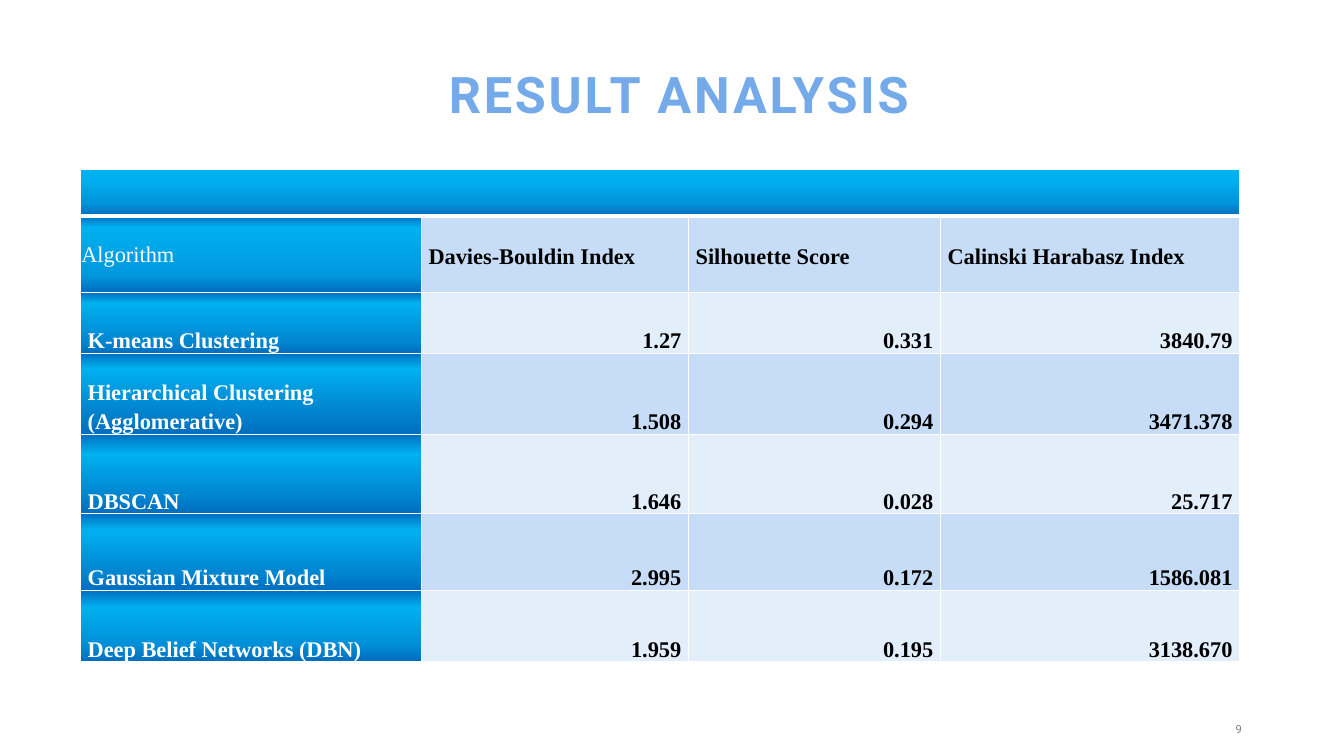
"""Build the result analysis slide with its table of clustering scores."""
from lxml.etree import SubElement as Sub
from pptx import Presentation
from pptx.dml.color import RGBColor
from pptx.enum.text import MSO_ANCHOR as Anchor, PP_ALIGN as Align
from pptx.oxml.ns import qn
from pptx.util import Cm, Pt


def style(para, size, face, color, bold=False, space=0):
    for run in para.runs:
        font = run.font
        font.size, font.name, font.bold = Pt(size), face, bold
        font.color.rgb = RGBColor.from_string(color)
        run._r.get_or_add_rPr().set("spc", str(space * 100))


def paint(cell, stops):
    grad = Sub(cell._tc.get_or_add_tcPr(), qn("a:gradFill"), rotWithShape="1")
    group = Sub(grad, qn("a:gsLst"))
    for pos, color in stops:
        stop = Sub(group, qn("a:gs"), pos=str(pos * 1000))
        Sub(stop, qn("a:srgbClr"), val=color)
    Sub(grad, qn("a:lin"), ang="16200000", scaled="0")


DARK, LIGHT = "0070C0", "00B0F0"
SERIF = "Times New Roman"

deck = Presentation()
deck.slide_width, deck.slide_height = Cm(33.87), Cm(19.05)
slide = deck.slides.add_slide(deck.slide_layouts[6])

labels = [
    ("9", (23.93, 18.11, 7.62, 0.56), Align.RIGHT, 0.9, 6, (8, "Roboto", "808080", False, 1)),
    ("RESULT ANALYSIS", (10.31, 1.35, 13.61, 2.31), Align.CENTER, 0.8, 0,
     (36, "Roboto", "74A9EA", True, 2)),
]
for text, place, align, lead, after, look in labels:
    frame = slide.shapes.add_textbox(*map(Cm, place)).text_frame
    frame.word_wrap = True
    frame.vertical_anchor = Anchor.MIDDLE
    frame.text = text
    para = frame.paragraphs[0]
    para.alignment, para.line_spacing, para.space_after = align, lead, Pt(after)
    style(para, *look)

rows = [
    ("", "", "", ""),
    ("Algorithm", "Davies-Bouldin Index", "Silhouette Score", "Calinski Harabasz Index"),
    ("K-means Clustering", "1.27", "0.331", "3840.79"),
    ("Hierarchical Clustering (Agglomerative)", "1.508", "0.294", "3471.378"),
    ("DBSCAN", "1.646", "0.028", "25.717"),
    ("Gaussian Mixture Model", "2.995", "0.172", "1586.081"),
    ("Deep Belief Networks (DBN)", "1.959", "0.195", "3138.670"),
]
widths = [8.59, 6.73, 6.35, 7.54]
heights = [1.17, 1.93, 1.52, 2.04, 2.01, 1.93, 1.8]
blends = [
    (29, "0094DB", 80, LIGHT), (24, "0099DF", 85, DARK), (17, "0085D0", 83, DARK),
    (20, "007ECA", 81, DARK), (24, "0086D1", 75, DARK), (24, "0086D1", 79, DARK),
    (25, "0090D8", 76, DARK),
]

table = slide.shapes.add_table(
    len(rows), len(widths), Cm(2.03), Cm(4.28), Cm(sum(widths)), Cm(sum(heights))).table
table.first_row = table.horz_banding = False
for col, width in zip(table.columns, widths):
    col.width = Cm(width)
for row, height in zip(table.rows, heights):
    row.height = Cm(height)
table.cell(0, 0).merge(table.cell(0, 3))

for i, (row, blend) in enumerate(zip(rows, blends)):
    low, tint, high, end = blend
    for j, text in enumerate(row):
        cell = table.cell(i, j)
        props = cell._tc.get_or_add_tcPr()
        for side in "LRTB":
            thick = (i, side) in ((0, "B"), (1, "T"))
            line = Sub(props, qn("a:ln" + side), w=str(Pt(3 if thick else 1)))
            Sub(Sub(line, qn("a:solidFill")), qn("a:srgbClr"), val="FFFFFF")
        if i == 0 or j == 0:
            paint(cell, [(2, DARK), (low, tint), (high, LIGHT), (100, end)])
        else:
            cell.fill.solid()
            cell.fill.fore_color.rgb = RGBColor.from_string("C7DDF7" if i % 2 else "E3EEFB")
        if not text:
            continue
        plain = text == "Algorithm"
        cell.margin_left = cell.margin_right = Cm(0.02 if plain else 0.18)
        cell.margin_top, cell.margin_bottom = Cm(0.02 if plain else 0), Cm(0)
        cell.vertical_anchor = Anchor.MIDDLE if i == 1 else Anchor.BOTTOM
        cell.text_frame.text = text
        para = cell.text_frame.paragraphs[0]
        para.alignment = Align.RIGHT if i > 1 and j else Align.LEFT
        if not plain:
            para.line_spacing, para.space_after = 1.15, Pt(4)
        style(para, 16, SERIF, "000000" if j else "FFFFFF", not plain)

deck.save("out.pptx")
